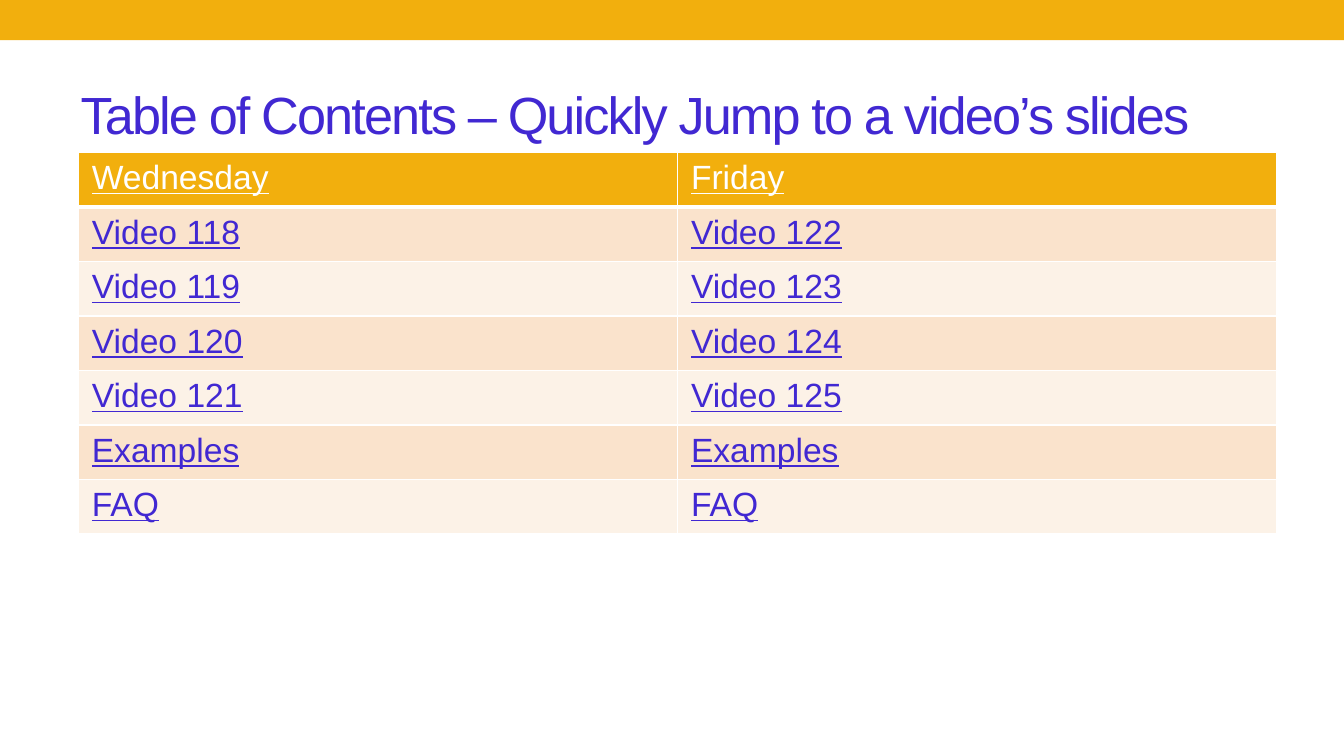
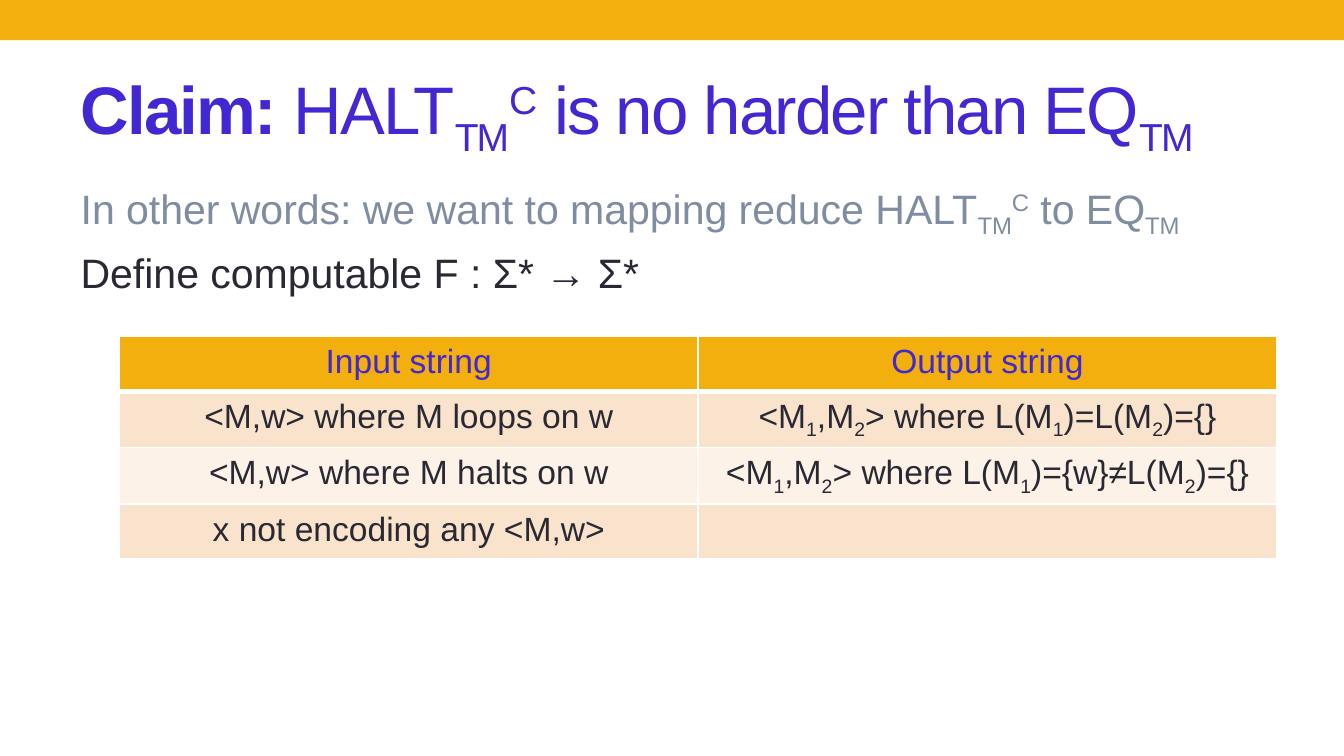
from lxml import etree
from pptx import Presentation
from pptx.dml.color import RGBColor
from pptx.enum.shapes import MSO_SHAPE
from pptx.enum.text import MSO_ANCHOR, MSO_AUTO_SIZE, PP_ALIGN
from pptx.oxml.ns import qn
from pptx.util import Pt

RECTANGLE = MSO_SHAPE.RECTANGLE
MIDDLE, TOP = MSO_ANCHOR.MIDDLE, MSO_ANCHOR.TOP
LEFT, CENTER = PP_ALIGN.LEFT, PP_ALIGN.CENTER
NO_AUTOFIT = MSO_AUTO_SIZE.NONE

# Shared look
FONT = "Arial"
GOLD, VIOLET, INK, GREY, WHITE = "F2AF0D", "4128D2", "292934", "808DA0", "FFFFFF"
ROW_FILLS = ("FAE3CC", "FCF2E7")
SLIDE_WIDTH, SLIDE_HEIGHT = 720, 405
BAND_HEIGHT = 21.6
TEXT_LEFT, TEXT_WIDTH = 36, 648
TABLE_RIGHT, ROW_HEIGHT, TABLE_SIZE = 684, 29.2, 18
TITLE_ONLY_LAYOUT, TITLE_BODY_LAYOUT = 5, 1

# A segment that starts with one of these marks is bold, lowered or raised
BOLD_MARK = "!"
BASELINES = {"_": "-25000", "^": "30000"}


def color(hex_string):
    return RGBColor.from_string(hex_string)


def write(paragraph, text, size, hex_string, align=LEFT, underline=False, tracking=0):
    """Write text whose segments are divided by | into formatted runs."""
    paragraph.alignment = align
    for segment in filter(None, text.split("|")):
        mark = segment[0]
        marked = mark == BOLD_MARK or mark in BASELINES
        run = paragraph.add_run()
        run.text = segment[1:] if marked else segment
        run.font.name = FONT
        run.font.size = Pt(size)
        run.font.color.rgb = color(hex_string)
        run.font.bold = mark == BOLD_MARK
        run.font.underline = underline
        properties = run.font._element
        if tracking:
            properties.set("spc", str(tracking * 100))
        if mark in BASELINES:
            properties.set("baseline", BASELINES[mark])


def place(shape, left, top, width, height):
    shape.left, shape.top = Pt(left), Pt(top)
    shape.width, shape.height = Pt(width), Pt(height)


def prepare_frame(placeholder, anchor):
    frame = placeholder.text_frame
    frame.word_wrap = True
    frame.auto_size = NO_AUTOFIT
    frame.vertical_anchor = anchor
    return frame


def add_slide(presentation, layout_index, title, title_size):
    """Add a slide with the gold band and its title."""
    slide = presentation.slides.add_slide(presentation.slide_layouts[layout_index])
    band = slide.shapes.add_shape(RECTANGLE, 0, 0, Pt(SLIDE_WIDTH), Pt(BAND_HEIGHT))
    band.shadow.inherit = False
    band.fill.solid()
    band.fill.fore_color.rgb = color(GOLD)
    band.line.fill.background()

    place(slide.shapes.title, TEXT_LEFT, 31.5, TEXT_WIDTH, 58.5)
    frame = prepare_frame(slide.shapes.title, MIDDLE)
    write(frame.paragraphs[0], title, title_size, VIOLET, tracking=-1)
    return slide


def fill_body(slide, lines, size):
    """Fill the body placeholder with unbulleted lines of (text, colour)."""
    body = slide.placeholders[1]
    place(body, TEXT_LEFT, 94.5, TEXT_WIDTH, 288)
    frame = prepare_frame(body, TOP)
    for index, (text, hex_string) in enumerate(lines):
        paragraph = frame.add_paragraph() if index else frame.paragraphs[0]
        paragraph.space_before = Pt(size * 0.2)
        properties = paragraph._p.get_or_add_pPr()
        properties.set("marL", "0")
        properties.set("indent", "0")
        etree.SubElement(properties, qn("a:buNone"))
        write(paragraph, text, size, hex_string)


def set_borders(cell, bottom_width):
    properties = cell._tc.get_or_add_tcPr()
    for side, width in (("L", 1), ("R", 1), ("T", 1), ("B", bottom_width)):
        line = etree.SubElement(properties, qn(f"a:ln{side}"), w=str(Pt(width)))
        fill = etree.SubElement(line, qn("a:solidFill"))
        etree.SubElement(fill, qn("a:srgbClr"), val=WHITE)


def add_table(slide, rows, left, top, header_color, text_color, align=LEFT, underline=False):
    """Add a table with a gold header and alternating row fills."""
    width = TABLE_RIGHT - left
    column_count = len(rows[0])
    table = slide.shapes.add_table(
        len(rows), column_count, Pt(left), Pt(top), Pt(width), Pt(ROW_HEIGHT * len(rows))
    ).table
    for column in table.columns:
        column.width = Pt(width / column_count)
    for row_index, texts in enumerate(rows):
        is_header = row_index == 0
        table.rows[row_index].height = Pt(ROW_HEIGHT)
        for column_index, text in enumerate(texts):
            cell = table.cell(row_index, column_index)
            set_borders(cell, 3 if is_header else 1)
            cell.fill.solid()
            cell.fill.fore_color.rgb = color(GOLD if is_header else ROW_FILLS[(row_index - 1) % 2])
            write(cell.text_frame.paragraphs[0], text, TABLE_SIZE,
                  header_color if is_header else text_color, align, underline)


def add_contents_slide(presentation):
    slide = add_slide(presentation, TITLE_ONLY_LAYOUT,
                      "Table of Contents – Quickly Jump to a video’s slides", 28)
    videos = [(f"Video {number}", f"Video {number + 4}") for number in range(118, 122)]
    rows = [("Wednesday", "Friday"), *videos, ("Examples", "Examples"), ("FAQ", "FAQ")]
    add_table(slide, rows, 42, 81.7, WHITE, VIOLET, underline=True)


def add_claim_slide(presentation):
    slide = add_slide(presentation, TITLE_BODY_LAYOUT,
                      "!Claim: |HALT|_TM|^C| is no harder than EQ|_TM", 36)
    fill_body(slide, [
        ("In other words: we want to mapping reduce HALT|_TM|^C| to EQ|_TM", GREY),
        ("Define computable F : Σ* → Σ*", INK),
    ], 22)
    machines = "<M|_1|,M|_2|> where L(M|_1|)="
    rows = [
        ("Input string", "Output string"),
        ("<M,w> where M loops on w", machines + "L(M|_2|)={}"),
        ("<M,w> where M halts on w", machines + "{w}≠L(M|_2|)={}"),
        ("x not encoding any <M,w>", ""),
    ]
    add_table(slide, rows, 64, 180.3, VIOLET, INK, align=CENTER)


def main():
    presentation = Presentation()
    presentation.slide_width = Pt(SLIDE_WIDTH)
    presentation.slide_height = Pt(SLIDE_HEIGHT)
    add_contents_slide(presentation)
    add_claim_slide(presentation)
    presentation.save("out.pptx")


if __name__ == "__main__":
    main()
